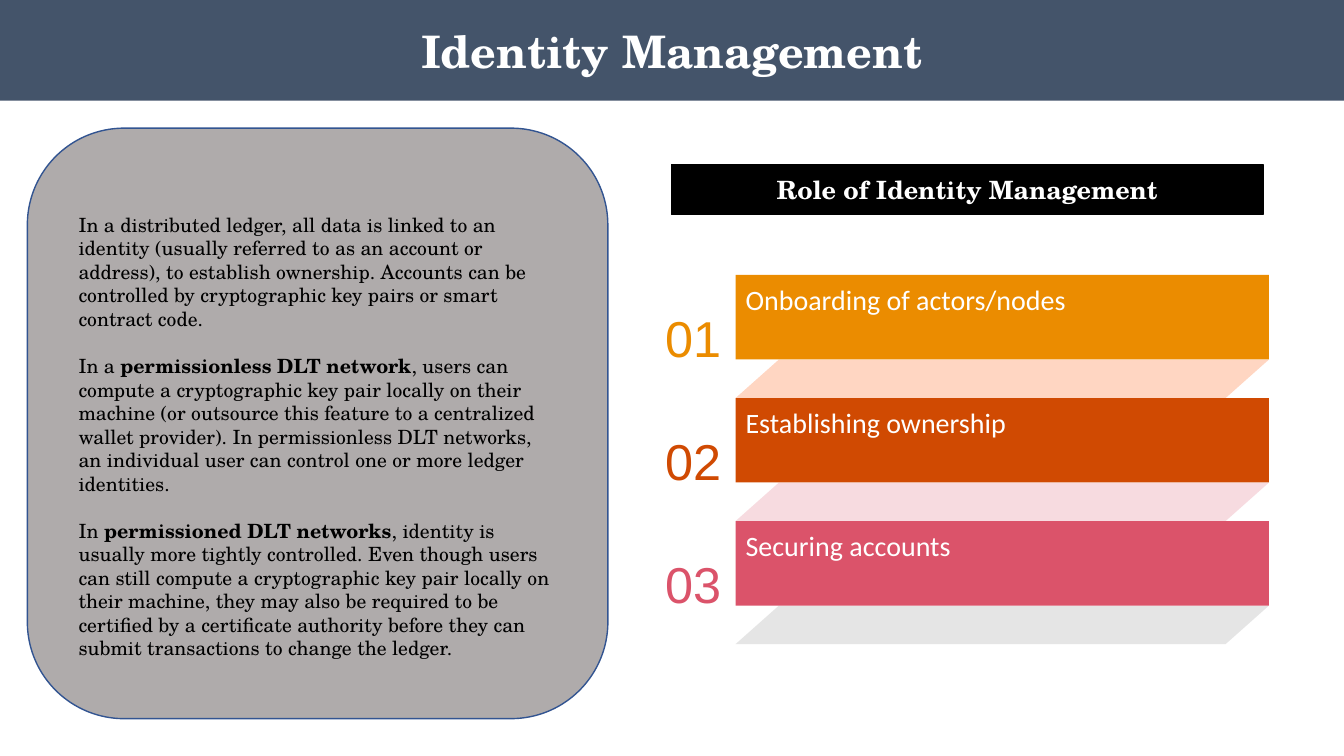
from pptx import Presentation
from pptx.dml.color import RGBColor
from pptx.enum.shapes import MSO_SHAPE
from pptx.enum.text import MSO_ANCHOR, PP_ALIGN
from pptx.util import Cm, Pt

RECT = MSO_SHAPE.RECTANGLE
ROUND = MSO_SHAPE.ROUNDED_RECTANGLE
SLANT = MSO_SHAPE.PARALLELOGRAM
TOP, MIDDLE, BOTTOM = MSO_ANCHOR.TOP, MSO_ANCHOR.MIDDLE, MSO_ANCHOR.BOTTOM
LEFT, CENTER = PP_ALIGN.LEFT, PP_ALIGN.CENTER

WHITE = RGBColor(0xFF, 0xFF, 0xFF)
BLACK = RGBColor(0, 0, 0)
SLATE = RGBColor(0x44, 0x54, 0x6A)
GRAY = RGBColor(0xAF, 0xAB, 0xAB)
BLUE = RGBColor(0x32, 0x54, 0x91)
AMBER = RGBColor(0xEB, 0x8C, 0x00)
RUST = RGBColor(0xD0, 0x4A, 0x02)
ROSE = RGBColor(0xDB, 0x53, 0x6A)
PEACH = RGBColor(0xFF, 0xD6, 0xC2)
PINK = RGBColor(0xF7, 0xDB, 0xE0)
SILVER = RGBColor(0xE5, 0xE5, 0xE5)
SERIF = "TeX Gyre Schola"

deck = Presentation()
deck.slide_width, deck.slide_height = Cm(33.87), Cm(19.05)
slide = deck.slides.add_slide(deck.slide_layouts[6])


def add_box(kind, area, fill, line=None):
    box = slide.shapes.add_shape(kind, *map(Cm, area))
    box.shadow.inherit = False
    box.fill.solid()
    box.fill.fore_color.rgb = fill
    if line is None:
        box.line.fill.background()
    else:
        box.line.color.rgb = line
        box.line.width = Pt(1)
    return box


def write(box, paras, font, size, color, align=LEFT, anchor=TOP, pad=(0.25, 0.13), bold=None, gap=0):
    frame = box.text_frame
    frame.word_wrap = True
    frame.vertical_anchor = anchor
    frame.margin_left = frame.margin_right = Cm(pad[0])
    frame.margin_top = frame.margin_bottom = Cm(pad[1])
    for i, parts in enumerate(paras):
        para = frame.add_paragraph() if i else frame.paragraphs[0]
        para.alignment = align
        para.space_before = Pt(gap if i else 0)
        para.font.name, para.font.size, para.font.bold = font, Pt(size), bold
        para.font.color.rgb = color
        for j, part in enumerate(parts):
            run = para.add_run()
            run.text = part
            if j % 2:
                run.font.bold = True


title = add_box(RECT, (0, 0, 33.87, 2.54), SLATE)
write(title, [["Identity Management"]], SERIF, 32, WHITE, CENTER, MIDDLE, (0, 0), True)

add_box(ROUND, (0.69, 3.23, 14.63, 14.88), GRAY, BLUE)
body = slide.shapes.add_textbox(Cm(1.73), Cm(5.23), Cm(12.57), Cm(11.79))
write(body, [
    ["In a distributed ledger, all data is linked to an identity (usually referred to as an account "
     "or address), to establish ownership. Accounts can be controlled by cryptographic key pairs "
     "or smart contract code."],
    ["In a ", "permissionless DLT network",
     ", users can compute a cryptographic key pair locally on their machine (or outsource this "
     "feature to a centralized wallet provider). In permissionless DLT networks, an individual "
     "user can control one or more ledger identities."],
    ["In ", "permissioned DLT networks",
     ", identity is usually more tightly controlled. Even though users can still compute a "
     "cryptographic key pair locally on their machine, they may also be required to be certified "
     "by a certificate authority before they can submit transactions to change the ledger."],
], SERIF, 14, BLACK, gap=16.8)

head = add_box(RECT, (16.92, 4.14, 14.91, 1.27), BLACK, BLACK)
write(head, [["Role of Identity Management"]], SERIF, 18, WHITE, CENTER, MIDDLE, bold=True)

roles = [
    ("Onboarding of actors/nodes", AMBER, PEACH),
    ("Establishing ownership", RUST, PINK),
    ("Securing accounts", ROSE, SILVER),
]
for i, (role, color, tint) in enumerate(roles):
    top = 6.93 + 3.1 * i
    fold = add_box(SLANT, (18.54, top + 2.13, 13.44, 0.97), tint)
    fold.adjustments[0] = 1.125
    bar = add_box(RECT, (18.54, top, 13.44, 2.13), color)
    write(bar, [[role]], "Calibri", 20, WHITE, pad=(0.25, 0.18))
    num = slide.shapes.add_textbox(Cm(16.76), Cm(top + 1.15), Cm(1.7), Cm(1.19))
    write(num, [[f"{i + 1:02}"]], "Arial", 36, color, anchor=BOTTOM, pad=(0, 0))

deck.save("out.pptx")
